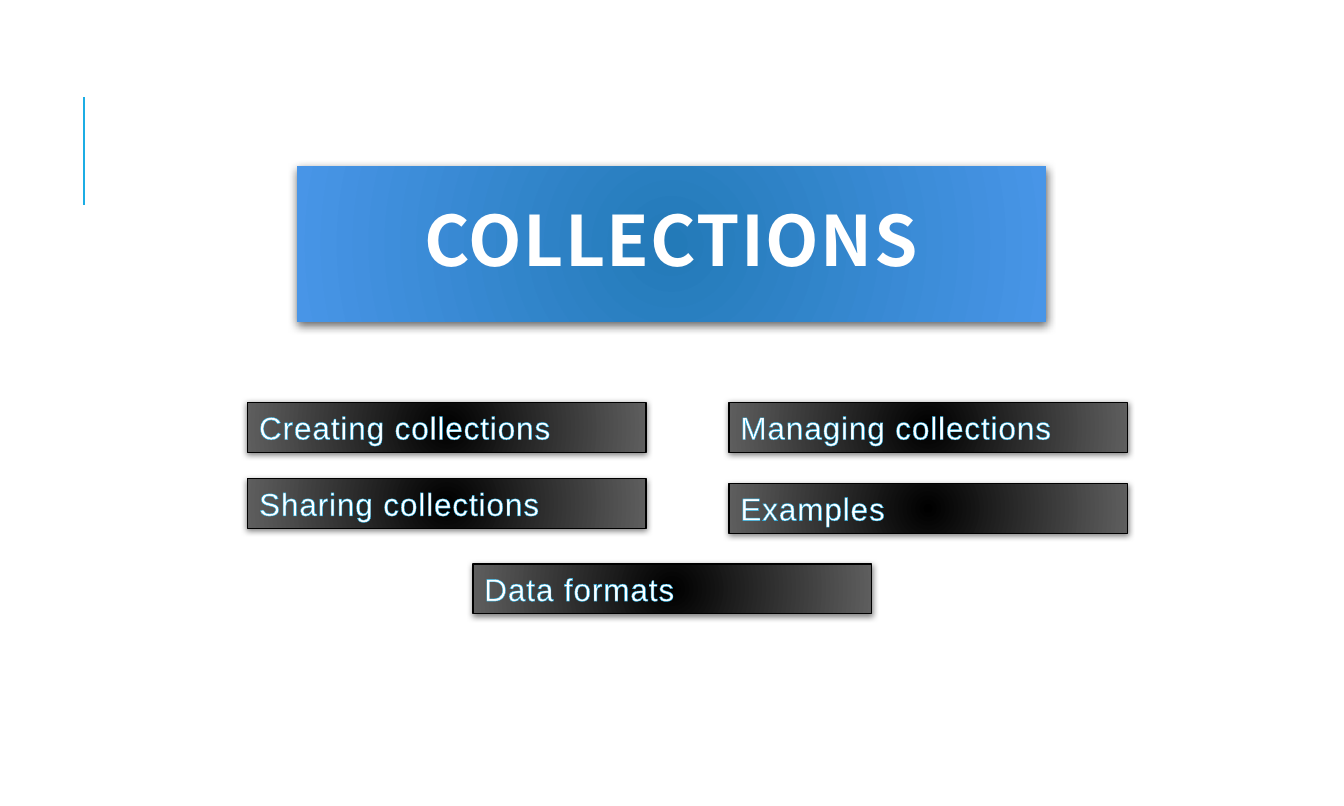
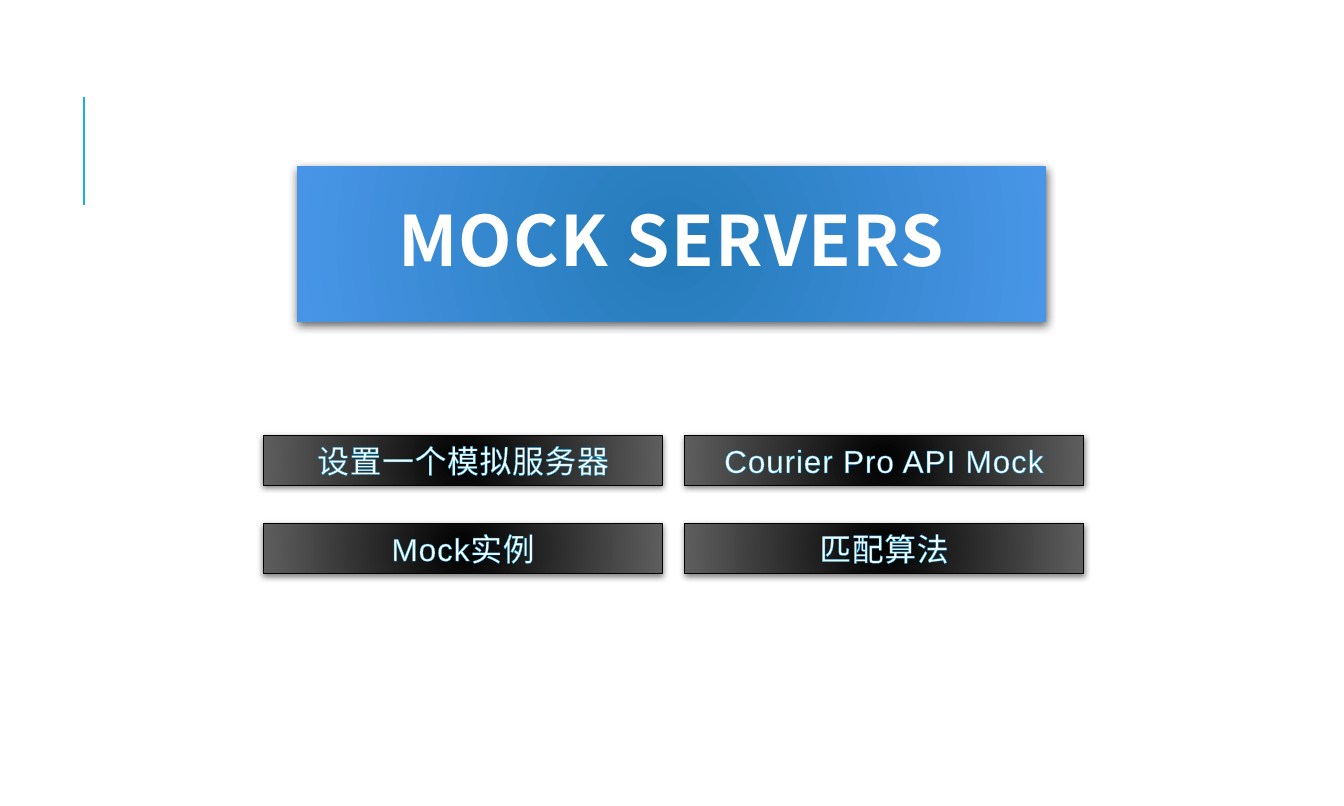
"""Builds two section slides, each with a gradient title banner and topic bars."""
from lxml import etree
from pptx import Presentation
from pptx import util as u
from pptx.dml import color
from pptx.enum import shapes, text
from pptx.oxml import ns

COLORS = {
    "accent": "1CADE4",
    "banner_in": "237AB8",
    "banner_out": "4895E7",
    "bar_in": "000000",
    "bar_out": "5E5E5E",
    "edge": "000000",
    "text": "FFFFFF",
}
LEFT, CENTER = text.PP_ALIGN.LEFT, text.PP_ALIGN.CENTER
BAR_W, BAR_H = 252, 31.6


def rgb(name):
    return color.RGBColor.from_string(COLORS[name])


def add(parent, tag, **attrs):
    return etree.SubElement(parent, ns.qn(tag), {k: str(v) for k, v in attrs.items()})


def apply(target, values):
    for name, value in values.items():
        setattr(target, name, value)


class Deck:
    BANNER = {"name": "Noto Sans CJK SC", "size": u.Pt(44), "bold": True}
    BAR = {"name": "Arial", "size": u.Pt(20), "bold": False}

    def __init__(self, width, height):
        self.prs = Presentation()
        apply(self.prs, {"slide_width": u.Pt(width), "slide_height": u.Pt(height)})
        self.s = None

    def slide(self, title):
        self.s = self.prs.slides.add_slide(self.prs.slide_layouts[5])
        self.rule(53.3, 61.2, 129.6)
        self.banner(title)

    def rule(self, x, top, bottom):
        line = self.s.shapes.add_connector(
            shapes.MSO_CONNECTOR.STRAIGHT, u.Pt(x), u.Pt(bottom), u.Pt(x), u.Pt(top))
        line.line.color.rgb = rgb("accent")
        line.line.width = u.Pt(1.5)
        add(line._element.spPr, "a:effectLst")

    def gradient(self, sp, inner, outer):
        sp.fill.gradient()
        for stop, name in zip(sp.fill.gradient_stops, (inner, outer)):
            stop.color.rgb = rgb(name)
        grad = sp._element.spPr.find(ns.qn("a:gradFill"))
        grad.remove(grad.find(ns.qn("a:lin")))
        circle = add(grad, "a:path", path="circle")
        add(circle, "a:fillToRect", l=100000, t=100000, r=100000, b=100000)

    def shadow(self, sp, opacity, blur, distance):
        sp.shadow.inherit = False
        effects = sp._element.spPr.find(ns.qn("a:effectLst"))
        outer = add(effects, "a:outerShdw", blurRad=u.Pt(blur), dist=u.Pt(distance),
                    dir=5400000, algn="ctr", rotWithShape=0)
        shade = add(outer, "a:srgbClr", val=COLORS["edge"])
        add(shade, "a:alpha", val=opacity * 1000)

    def label(self, sp, words, font, align, spacing, frame):
        tf = sp.text_frame
        apply(tf, {"word_wrap": True, **frame})
        p = tf.paragraphs[0]
        p.alignment = align
        r = p.add_run()
        r.text = words
        apply(r.font, font)
        r.font.color.rgb = rgb("text")
        r.font._element.set("spc", str(spacing))
        return p, r

    def banner(self, words):
        sp = self.s.shapes.title
        apply(sp, {"left": u.Pt(187.9), "top": u.Pt(105.1),
                   "width": u.Pt(473.8), "height": u.Pt(98.6)})
        self.gradient(sp, "banner_in", "banner_out")
        sp.line.fill.background()
        self.shadow(sp, 60, 6, 2)
        p, r = self.label(sp, words, self.BANNER, CENTER, 90, {
            "vertical_anchor": text.MSO_ANCHOR.MIDDLE,
            "auto_size": text.MSO_AUTO_SIZE.NONE})
        p.line_spacing = 0.9

    def bar(self, words, x, y, align):
        sp = self.s.shapes.add_shape(
            shapes.MSO_SHAPE.RECTANGLE, u.Pt(x), u.Pt(y), u.Pt(BAR_W), u.Pt(BAR_H))
        self.gradient(sp, "bar_in", "bar_out")
        sp.line.color.rgb = rgb("edge")
        sp.line.width = u.Pt(0.75)
        self.shadow(sp, 50, 4, 1)
        p, r = self.label(sp, words, self.BAR, align, 50, {
            "vertical_anchor": text.MSO_ANCHOR.TOP,
            "auto_size": text.MSO_AUTO_SIZE.SHAPE_TO_FIT_TEXT})
        outline = etree.Element(ns.qn("a:ln"), {"w": str(u.Pt(0.75))})
        add(add(outline, "a:solidFill"), "a:srgbClr", val=COLORS["accent"])
        r.font._element.insert(0, outline)


def main():
    deck = Deck(850.39, 510.24)

    deck.slide("COLLECTIONS")
    left, right, top = 156.8, 461.3, 254.7
    for words, x, y in (
        ("Creating collections", left, top),
        ("Managing collections", right, top),
        ("Sharing collections", left, 303),
        ("Examples", right, 306),
        ("Data formats", 299.3, 357),
    ):
        deck.bar(words, x, y, LEFT)

    deck.slide("MOCK SERVERS")
    topics = ("设置一个模拟服务器", "Courier Pro API Mock", "Mock实例", "匹配算法")
    for i, words in enumerate(topics):
        row, col = divmod(i, 2)
        deck.bar(words, 167 + col * 266.4, 275.8 + row * 55.8, CENTER)

    deck.prs.save("out.pptx")


if __name__ == "__main__":
    main()
